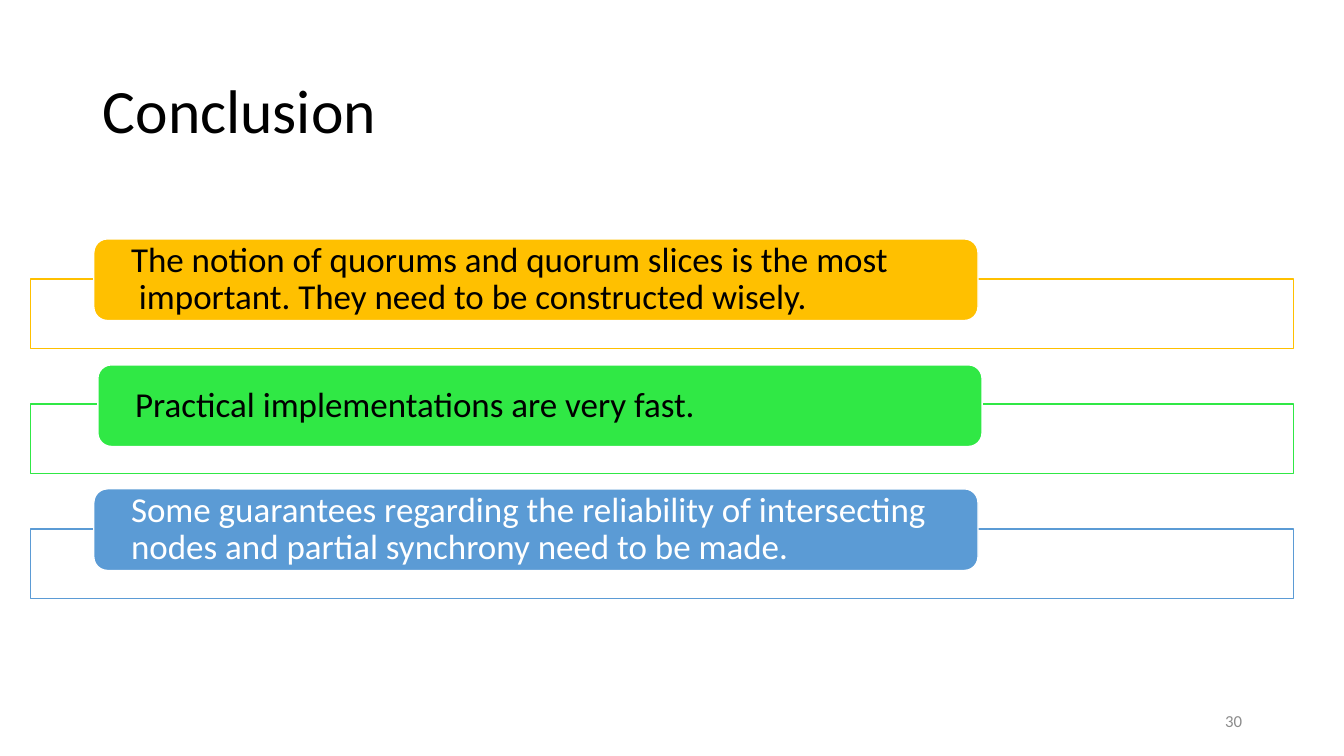
from dataclasses import dataclass

import pptx
import pptx.dml.color
import pptx.enum.shapes
import pptx.enum.text
import pptx.oxml.ns
import pptx.shapes.autoshape
import pptx.text.text
import pptx.util
from lxml import etree

SHAPES = pptx.enum.shapes.MSO_SHAPE
ALIGN = pptx.enum.text.PP_ALIGN
SLIDE_WIDTH = pptx.util.Inches(13.33)
SLIDE_HEIGHT = pptx.util.Inches(7.5)


@dataclass(frozen=True)
class Theme:
    font: str = "Calibri"
    dark: str = "000000"
    light: str = "FFFFFF"
    muted: str = "8C8C8C"
    amber: str = "FFC000"
    green: str = "30E845"
    blue: str = "5B9BD5"
    title_size: int = 44
    body_size: int = 25
    number_size: int = 12


THEME = Theme()


@dataclass(frozen=True)
class Area:
    """Lengths in percent of the slide's width and height."""
    left: float
    top: float
    width: float
    height: float

    def box(self) -> tuple[int, int, int, int]:
        return (round(SLIDE_WIDTH * self.left / 100), round(SLIDE_HEIGHT * self.top / 100),
                round(SLIDE_WIDTH * self.width / 100), round(SLIDE_HEIGHT * self.height / 100))


@dataclass(frozen=True)
class Takeaway:
    text: str
    color: str
    text_color: str
    label_left: float = 6.98
    label_rise: float = 5.33


TITLE_AREA = Area(6.9, 5.33, 86.27, 19.33)
NUMBER_AREA = Area(70.67, 92.67, 22.5, 5.33)
FIRST_BAR = Area(2.25, 36.93, 94, 9.2)
BAR_PITCH = 16.53
LABEL_WIDTH, LABEL_HEIGHT = 65.79, 10.8

TAKEAWAYS = [
    Takeaway("The notion of quorums and quorum slices is the most\v"
             " important. They need to be constructed wisely.", THEME.amber, THEME.dark),
    Takeaway("Practical implementations are very fast.", THEME.green, THEME.dark,
             label_left=7.28, label_rise=5.2),
    Takeaway("Some guarantees regarding the reliability of intersecting\v"
             "nodes and partial synchrony need to be made.", THEME.blue, THEME.light),
]


def rgb(color: str) -> pptx.dml.color.RGBColor:
    return pptx.dml.color.RGBColor.from_string(color)


def write_text(frame: pptx.text.text.TextFrame, text: str, *, size: int, color: str,
               align: ALIGN = ALIGN.LEFT, line_spacing: float = 1.0) -> None:
    frame.word_wrap = True
    frame.auto_size = pptx.enum.text.MSO_AUTO_SIZE.NONE
    frame.vertical_anchor = pptx.enum.text.MSO_ANCHOR.MIDDLE
    frame.text = text
    paragraph = frame.paragraphs[0]
    paragraph.alignment = align
    paragraph.line_spacing = line_spacing
    for run in paragraph.runs:
        run.font.name = THEME.font
        run.font.size = pptx.util.Pt(size)
        run.font.color.rgb = rgb(color)


def add_box(slide: pptx.slide.Slide, kind: SHAPES, area: Area, *, fill: str, line: str,
            opacity: int = 100) -> pptx.shapes.autoshape.Shape:
    shape = slide.shapes.add_shape(kind, *area.box())
    shape.shadow.inherit = False
    shape.fill.solid()
    shape.fill.fore_color.rgb = rgb(fill)
    shape.line.color.rgb = rgb(line)
    shape.line.width = pptx.util.Pt(1)
    if opacity < 100:
        qn = pptx.oxml.ns.qn
        color = shape.fill._xPr.find(qn("a:solidFill")).find(qn("a:srgbClr"))
        etree.SubElement(color, qn("a:alpha")).set("val", str(opacity * 1000))
    return shape


def add_takeaway(slide: pptx.slide.Slide, row: int, takeaway: Takeaway) -> None:
    top = FIRST_BAR.top + row * BAR_PITCH
    add_box(slide, SHAPES.RECTANGLE,
            Area(FIRST_BAR.left, top, FIRST_BAR.width, FIRST_BAR.height),
            fill=THEME.light, line=takeaway.color, opacity=90)
    label = add_box(slide, SHAPES.ROUNDED_RECTANGLE,
                    Area(takeaway.label_left, top - takeaway.label_rise,
                         LABEL_WIDTH, LABEL_HEIGHT),
                    fill=takeaway.color, line=THEME.light)
    frame = label.text_frame
    # The rounded corners already inset the text by 0.04 inch.
    frame.margin_left = frame.margin_right = pptx.util.Inches(0.33)
    frame.margin_top = frame.margin_bottom = 0
    write_text(frame, takeaway.text, size=THEME.body_size, color=takeaway.text_color,
               line_spacing=0.9)


def main() -> None:
    presentation = pptx.Presentation()
    presentation.slide_width = SLIDE_WIDTH
    presentation.slide_height = SLIDE_HEIGHT
    slide = presentation.slides.add_slide(presentation.slide_layouts.get_by_name("Title Only"))

    title = slide.shapes.title
    title.left, title.top, title.width, title.height = TITLE_AREA.box()
    write_text(title.text_frame, "Conclusion", size=THEME.title_size, color=THEME.dark,
               line_spacing=0.9)

    number = slide.shapes.add_textbox(*NUMBER_AREA.box())
    write_text(number.text_frame, "30", size=THEME.number_size, color=THEME.muted,
               align=ALIGN.RIGHT)

    for row, takeaway in enumerate(TAKEAWAYS):
        add_takeaway(slide, row, takeaway)

    presentation.save("out.pptx")


if __name__ == "__main__":
    main()
